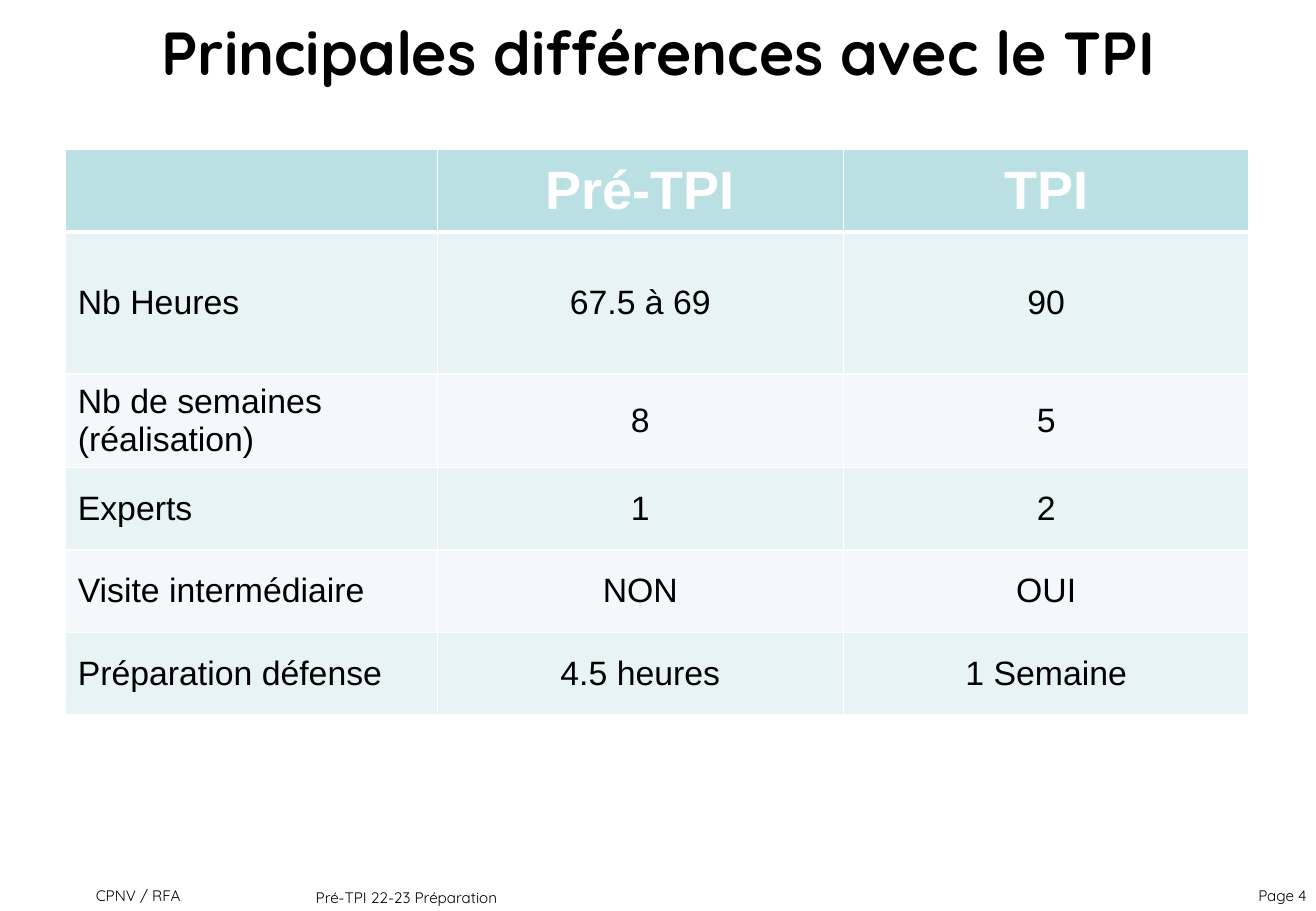
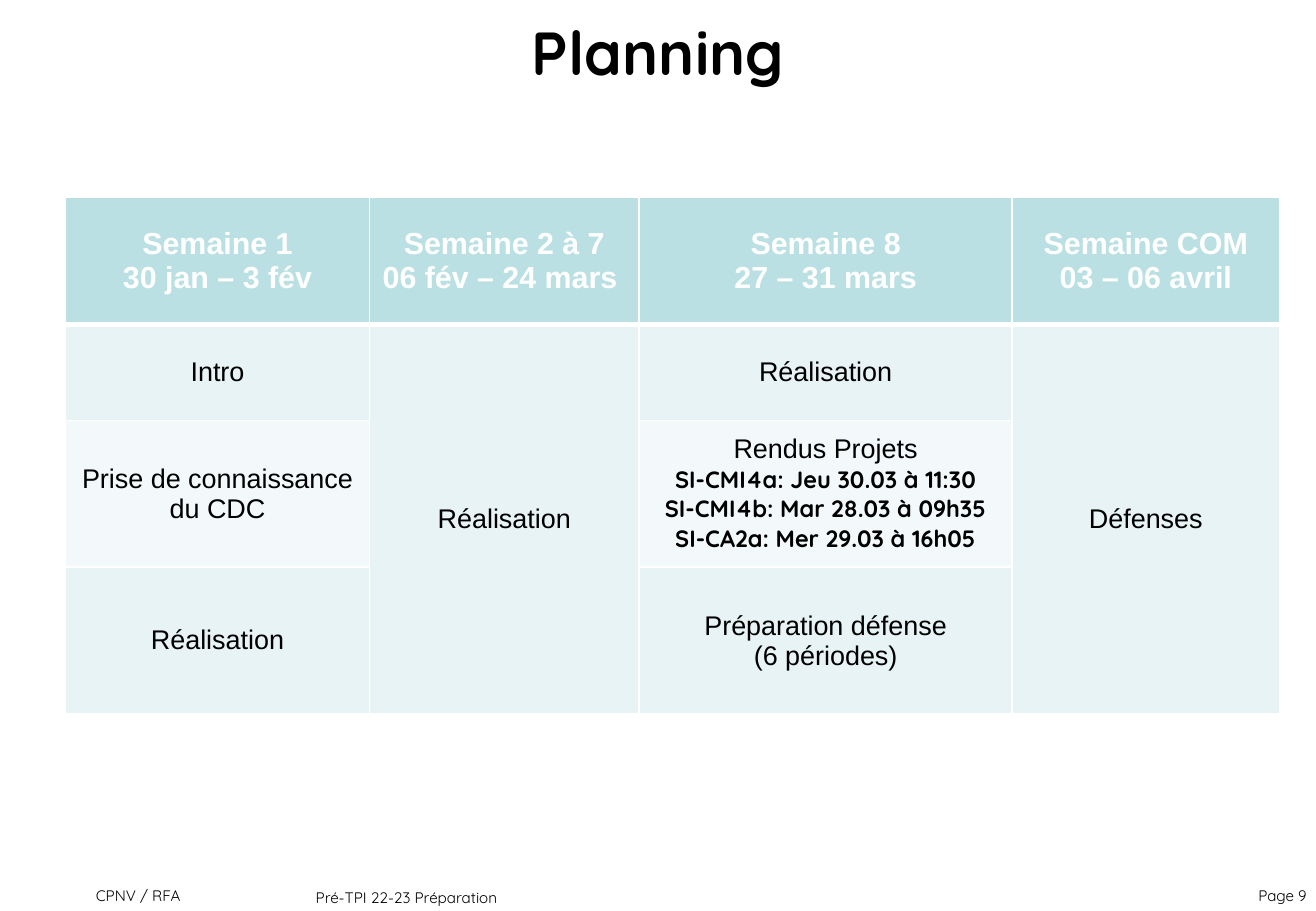
"""Build the project comparison and planning slides."""
from dataclasses import dataclass

from lxml import etree
from pptx import Presentation
from pptx import util as u
from pptx.dml.color import RGBColor
from pptx.enum import text
from pptx.oxml.ns import qn

COLOURS = {
    "ink": "000000",
    "paper": "FFFFFF",
    "header": "BBE0E3",
    "odd": "E7F3F4",
    "even": "F3F9FA",
}
LEFT, CENTRE, RIGHT = text.PP_ALIGN.LEFT, text.PP_ALIGN.CENTER, text.PP_ALIGN.RIGHT
TOP, MIDDLE = text.MSO_ANCHOR.TOP, text.MSO_ANCHOR.MIDDLE


@dataclass(frozen=True)
class Style:
    size: int
    font: str = "Arial"
    colour: str = "ink"
    bold: bool = False


@dataclass(frozen=True)
class Label:
    left: float
    top: float
    width: float
    height: float
    style: Style
    align: text.PP_ALIGN = LEFT
    anchor: text.MSO_ANCHOR = TOP


@dataclass(frozen=True)
class Cell:
    lines: tuple[str, ...]
    details: tuple[str, ...] = ()
    rows: int = 1


@dataclass(frozen=True)
class Grid:
    top: float
    columns: tuple[float, ...]
    heights: tuple[float, ...]
    cells: tuple[tuple[Cell | None, ...], ...]
    header: Style
    body: Style
    first_align: text.PP_ALIGN = CENTRE


@dataclass(frozen=True)
class Topic:
    title: str
    number: int
    grid: Grid


GRID_LEFT = 0.54
DETAIL = Style(14, "Quicksand", bold=True)
FOOTER = Style(9, "Quicksand")
TITLE = Label(0, 0, 10.83, 0.84, Style(36, "Quicksand", bold=True), CENTRE, MIDDLE)
AUTHOR = Label(0.69, 7.25, 1.71, 0.52, FOOTER)
COURSE = Label(2.5, 7.26, 5.83, 0.52, FOOTER)
NUMBER = Label(9.06, 7.25, 1.79, 0.52, FOOTER, RIGHT)


def row(*lines: str) -> tuple[Cell, ...]:
    """Make one table row of plain cells, splitting lines at newlines."""
    return tuple(Cell(tuple(line.split("\n"))) for line in lines)


DIFFERENCES = Grid(
    top=1.23,
    columns=(3.06, 3.34, 3.34),
    heights=(0.68, 1.17, 0.68, 0.68, 0.68, 0.68),
    cells=(
        row("", "Pré-TPI", "TPI"),
        row("Nb Heures", "67.5 à 69", "90"),
        row("Nb de semaines\n(réalisation)", "8", "5"),
        row("Experts", "1", "2"),
        row("Visite intermédiaire", "NON", "OUI"),
        row("Préparation défense", "4.5 heures", "1 Semaine"),
    ),
    header=Style(32, colour="paper", bold=True),
    body=Style(20),
    first_align=LEFT,
)

PLANNING = Grid(
    top=1.62,
    columns=(2.5, 2.22, 3.07, 2.2),
    heights=(1.05, 0.79, 1.21, 1.21),
    cells=(
        row(
            "Semaine 1\n30 jan – 3 fév",
            "Semaine 2 à 7\n06 fév – 24 mars ",
            "Semaine 8\n27 – 31 mars",
            "Semaine COM\n03 – 06 avril",
        ),
        (
            Cell(("Intro",)),
            Cell(("Réalisation",), rows=3),
            Cell(("Réalisation",)),
            Cell(("Défenses",), rows=3),
        ),
        (
            Cell(("Prise de connaissance du CDC",)),
            None,
            Cell(
                ("Rendus Projets",),
                details=(
                    "SI-CMI4a: Jeu 30.03 à 11:30",
                    "SI-CMI4b: Mar 28.03 à 09h35",
                    "SI-CA2a: Mer 29.03 à 16h05",
                ),
            ),
            None,
        ),
        (
            Cell(("Réalisation",)),
            None,
            Cell(("Préparation défense", "(6 périodes)")),
            None,
        ),
    ),
    header=Style(18, colour="paper", bold=True),
    body=Style(16),
)

TOPICS = (
    Topic("Principales différences avec le TPI", 4, DIFFERENCES),
    Topic("Planning", 9, PLANNING),
)


def write(frame, lines: list[tuple[str, Style]], align: text.PP_ALIGN) -> None:
    """Write one styled paragraph per line into a text frame."""
    for index, (line, style) in enumerate(lines):
        para = frame.add_paragraph() if index else frame.paragraphs[0]
        para.alignment = align
        span = para.add_run()
        span.text = line
        span.font.name = style.font
        span.font.size = u.Pt(style.size)
        span.font.bold = style.bold
        span.font.color.rgb = RGBColor.from_string(COLOURS[style.colour])


def add_label(page, label: Label, words: str) -> None:
    """Add a one-line text box."""
    box = page.shapes.add_textbox(
        *map(u.Inches, (label.left, label.top, label.width, label.height))
    )
    box.text_frame.word_wrap = True
    box.text_frame.vertical_anchor = label.anchor
    write(box.text_frame, [(words, label.style)], label.align)


def add_borders(target, top: int, bottom: int) -> None:
    """Give a table cell white borders, with widths in points."""
    properties = target._tc.get_or_add_tcPr()
    for side, points in (("L", 1), ("R", 1), ("T", top), ("B", bottom)):
        line = etree.SubElement(properties, qn(f"a:ln{side}"), w=str(u.Pt(points)))
        fill = etree.SubElement(line, qn("a:solidFill"))
        etree.SubElement(fill, qn("a:srgbClr"), val=COLOURS["paper"])


def add_grid(page, grid: Grid) -> None:
    """Add a table with a header row and alternating body rows."""
    table = page.shapes.add_table(
        len(grid.heights),
        len(grid.columns),
        u.Inches(GRID_LEFT),
        u.Inches(grid.top),
        u.Inches(sum(grid.columns)),
        u.Inches(sum(grid.heights)),
    ).table
    for column, width in zip(table.columns, grid.columns):
        column.width = u.Inches(width)
    for table_row, height in zip(table.rows, grid.heights):
        table_row.height = u.Inches(height)
    for r, cells in enumerate(grid.cells):
        style = grid.body if r else grid.header
        tint = "header" if r == 0 else "odd" if r % 2 else "even"
        for c, cell in enumerate(cells):
            target = table.cell(r, c)
            add_borders(target, 3 if r == 1 else 1, 1 if r else 3)
            target.fill.solid()
            target.fill.fore_color.rgb = RGBColor.from_string(COLOURS[tint])
            target.vertical_anchor = MIDDLE
            if cell is None:
                continue
            if cell.rows > 1:
                target.merge(table.cell(r + cell.rows - 1, c))
            lines = [(line, style) for line in cell.lines if line]
            lines += [(line, DETAIL) for line in cell.details]
            write(target.text_frame, lines, CENTRE if c else grid.first_align)


def add_topic(deck, topic: Topic) -> None:
    """Add one slide with its title, table and footer."""
    page = deck.slides.add_slide(deck.slide_layouts[6])
    add_label(page, TITLE, topic.title)
    add_grid(page, topic.grid)
    add_label(page, AUTHOR, "CPNV / RFA")
    add_label(page, COURSE, "Pré-TPI 22-23 Préparation")
    add_label(page, NUMBER, f"Page {topic.number}")


def main() -> None:
    """Build and save the deck."""
    deck = Presentation()
    deck.slide_width = u.Inches(10.83)
    deck.slide_height = u.Inches(7.5)
    for topic in TOPICS:
        add_topic(deck, topic)
    deck.save("out.pptx")


main()
